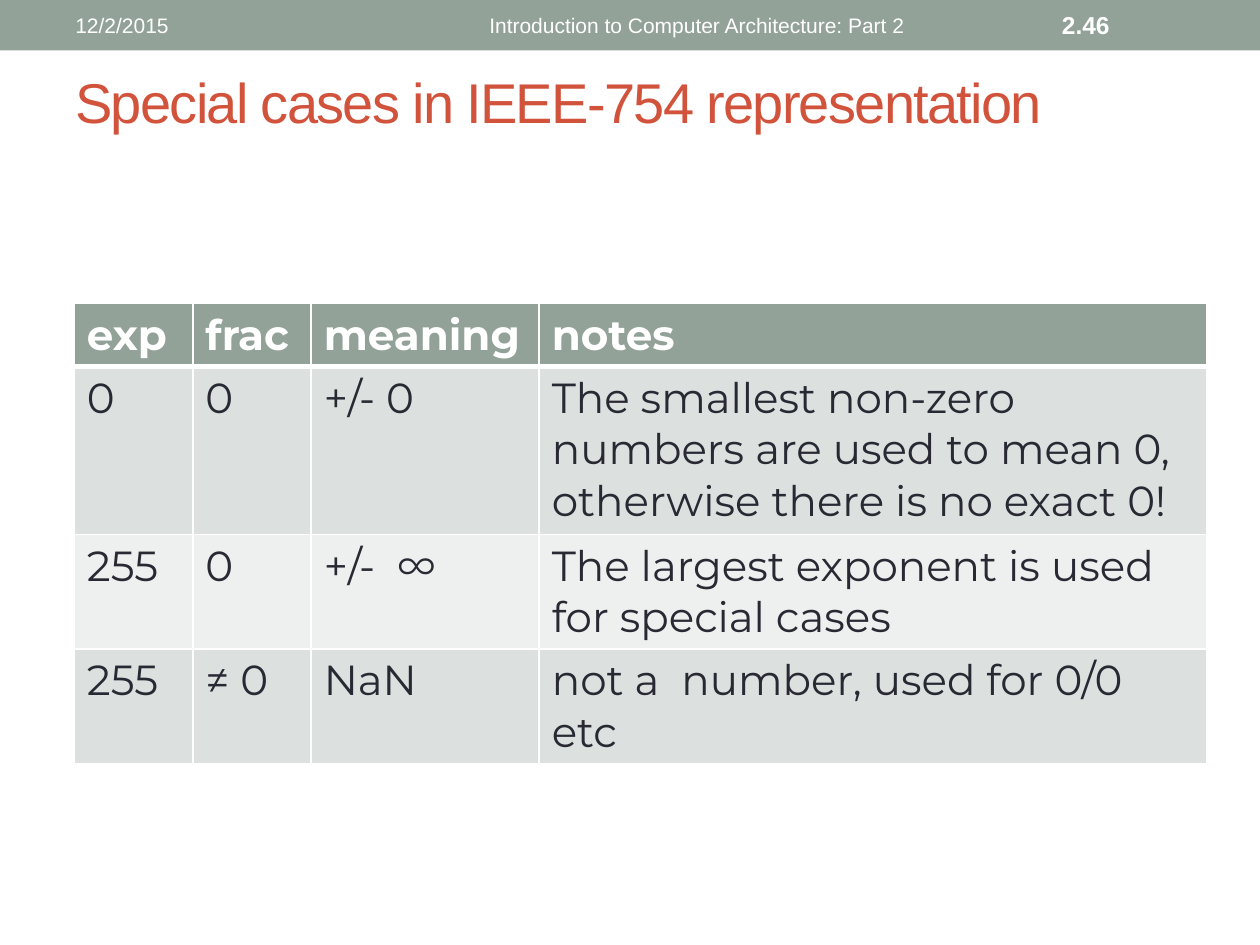
from lxml.etree import SubElement
from pptx import Presentation
from pptx.dml.color import RGBColor
from pptx.enum.shapes import MSO_SHAPE
from pptx.enum.text import MSO_ANCHOR as ANCHOR, PP_ALIGN as ALIGN
from pptx.oxml.ns import qn
from pptx.util import Inches, Pt

SAGE = RGBColor(0x93, 0xA2, 0x99)
BAND_DARK = RGBColor(0xDC, 0xE0, 0xDE)
BAND_LIGHT = RGBColor(0xEE, 0xF0, 0xEF)
RUST = RGBColor(0xD2, 0x53, 0x3C)
INK = RGBColor(0x29, 0x29, 0x34)
WHITE = RGBColor(0xFF, 0xFF, 0xFF)

COLUMN_WIDTHS = (0.94, 0.94, 1.81, 5.3)
ROW_HEIGHTS = (0.49, 1.33, 0.91, 0.91)
SPECIAL_CASES = (
    ("exp", "frac", "meaning", "notes"),
    ("0", "0", "+/- 0", "The smallest non-zero numbers are used to mean 0, "
     "otherwise there is no exact 0!"),
    ("255", "0", "+/-  ∞", "The largest exponent is used for special cases"),
    ("255", "≠ 0", "NaN", "not a  number, used for 0/0 etc"),
)


class SlideBuilder:
    """Draw styled elements on the current slide."""

    heading_font = "Arial"
    table_font = "Montserrat"

    def __init__(self, slide):
        self.slide = slide

    def run(self, p, text, font, size, color, bold=False):
        r = p.add_run()
        r.text = text
        r.font.name = font
        r.font.size = Pt(size)
        r.font.color.rgb = color
        r.font.bold = bold
        return r

    def bar(self, left, top, width, height, color):
        sp = self.slide.shapes.add_shape(
            MSO_SHAPE.RECTANGLE, Inches(left), Inches(top), Inches(width), Inches(height))
        sp.shadow.inherit = False
        sp.fill.solid()
        sp.fill.fore_color.rgb = color
        sp.line.fill.background()

    def text(self, left, top, width, height, text, size, color,
             bold=False, align=ALIGN.LEFT, spacing=0):
        sp = self.slide.shapes.add_textbox(
            Inches(left), Inches(top), Inches(width), Inches(height))
        tf = sp.text_frame
        tf.word_wrap = True
        tf.vertical_anchor = ANCHOR.MIDDLE
        p = tf.paragraphs[0]
        p.alignment = align
        r = self.run(p, text, self.heading_font, size, color, bold)
        if spacing:
            r.font._element.set("spc", str(spacing * 100))

    def border(self, cell, side, width):
        ln = SubElement(cell._tc.get_or_add_tcPr(), qn(f"a:ln{side}"), w=str(Pt(width)))
        fill = SubElement(ln, qn("a:solidFill"))
        SubElement(fill, qn("a:srgbClr"), val=str(WHITE))

    def cell(self, cell, text, row):
        header = row == 0
        widths = {"L": 1, "R": 1, "T": 3 if row == 1 else 1, "B": 3 if header else 1}
        for side, width in widths.items():
            self.border(cell, side, width)
        cell.fill.solid()
        cell.fill.fore_color.rgb = SAGE if header else BAND_DARK if row % 2 else BAND_LIGHT
        p = cell.text_frame.paragraphs[0]
        p.alignment = ALIGN.LEFT
        self.run(p, text, self.table_font, 24, WHITE if header else INK, header)

    def table(self, left, top, widths, heights, rows):
        table = self.slide.shapes.add_table(
            len(heights), len(widths), Inches(left), Inches(top),
            Inches(sum(widths)), Inches(sum(heights))).table
        for column, width in zip(table.columns, widths):
            column.width = Inches(width)
        for i, (height, values) in enumerate(zip(heights, rows)):
            table.rows[i].height = Inches(height)
            for j, value in enumerate(values):
                self.cell(table.cell(i, j), value, i)


def main():
    prs = Presentation()
    prs.slide_width, prs.slide_height = Inches(10), Inches(7.5)
    s = SlideBuilder(prs.slides.add_slide(prs.slide_layouts[6]))
    s.bar(0, 0, 10, 0.4, SAGE)
    s.text(0.5, 0.44, 9, 0.73, "Special cases in IEEE-754 representation", 32, RUST, spacing=-1)
    s.table(0.59, 2.41, COLUMN_WIDTHS, ROW_HEIGHTS, SPECIAL_CASES)
    s.text(0.5, 0.02, 2.06, 0.36, "12/2/2015", 12, WHITE)
    s.text(2.78, 0.02, 4.5, 0.36, "Introduction to Computer Architecture: Part 2",
           12, WHITE, align=ALIGN.RIGHT)
    s.text(8.33, 0.02, 1.17, 0.36, "2.46", 14, WHITE, bold=True)
    prs.save("out.pptx")


if __name__ == "__main__":
    main()
